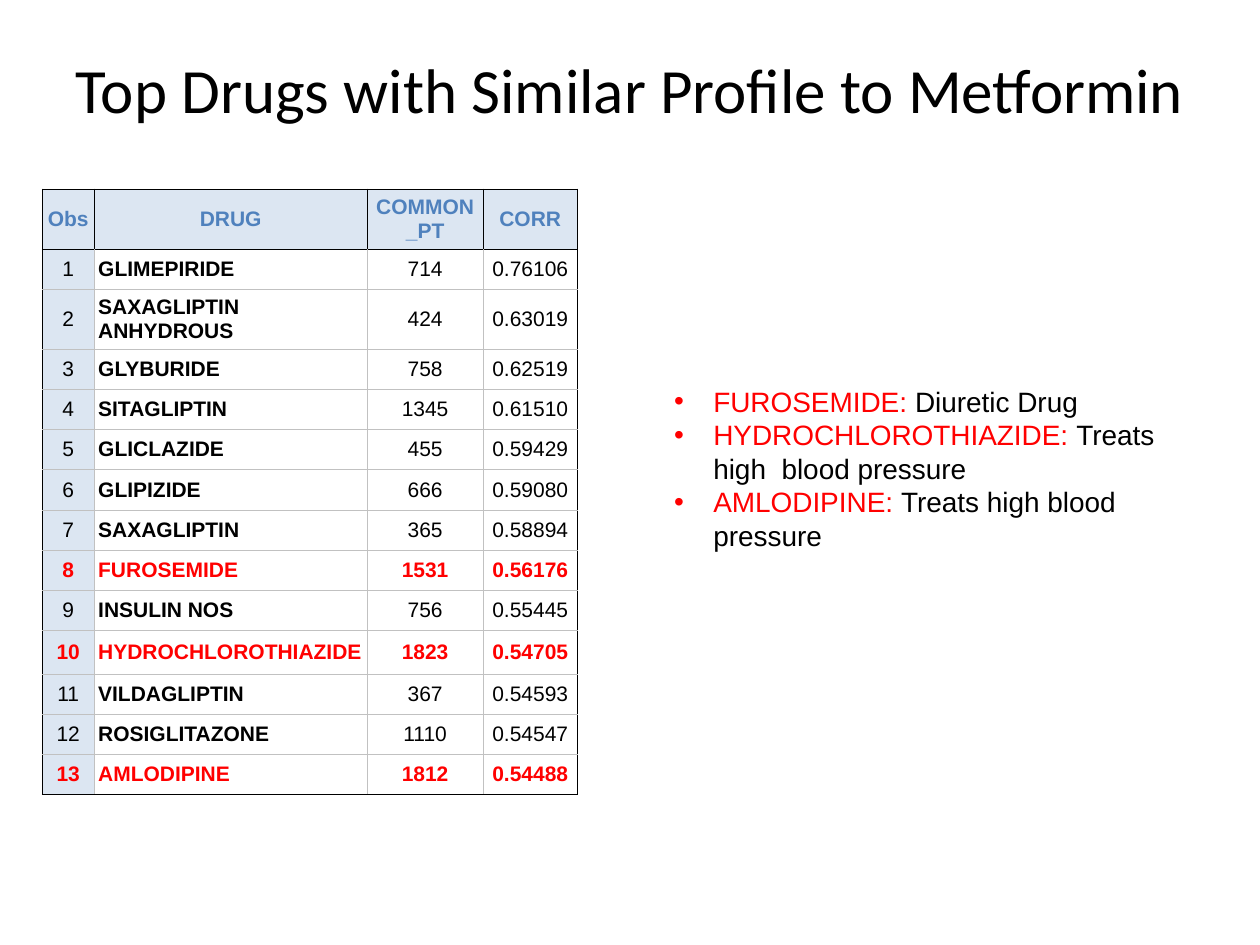
import dataclasses

import pptx
import pptx.dml.color
import pptx.enum.text
import pptx.oxml
import pptx.oxml.ns
import pptx.table
import pptx.text.text
import pptx.util

Cm = pptx.util.Cm
Pt = pptx.util.Pt
Align = pptx.enum.text.PP_ALIGN
Anchor = pptx.enum.text.MSO_ANCHOR

BLACK, WHITE, RED = "000000", "FFFFFF", "FF0000"
BLUE, PALE_BLUE, GREY = "4F81BD", "DCE6F2", "C1C1C1"

COLUMN_WIDTHS = (1.05, 5.5, 2.34, 1.9)
ROW_HEIGHT, TWO_LINE_HEIGHT, WIDE_NAME_HEIGHT = 0.81, 1.19, 0.88
HEADINGS = ("Obs", "DRUG", "COMMON_PT", "CORR")


@dataclasses.dataclass
class Drug:
    name: str
    common: int
    correlation: float
    height: float = ROW_HEIGHT
    use: str = ""  # drugs with a different use are marked in red


DRUGS = (
    Drug("GLIMEPIRIDE", 714, 0.76106),
    Drug("SAXAGLIPTIN ANHYDROUS", 424, 0.63019, TWO_LINE_HEIGHT),
    Drug("GLYBURIDE", 758, 0.62519),
    Drug("SITAGLIPTIN", 1345, 0.61510),
    Drug("GLICLAZIDE", 455, 0.59429),
    Drug("GLIPIZIDE", 666, 0.59080),
    Drug("SAXAGLIPTIN", 365, 0.58894),
    Drug("FUROSEMIDE", 1531, 0.56176, use="Diuretic Drug"),
    Drug("INSULIN NOS", 756, 0.55445),
    Drug("HYDROCHLOROTHIAZIDE", 1823, 0.54705, WIDE_NAME_HEIGHT,
         use="Treats high  blood pressure"),
    Drug("VILDAGLIPTIN", 367, 0.54593),
    Drug("ROSIGLITAZONE", 1110, 0.54547),
    Drug("AMLODIPINE", 1812, 0.54488, use="Treats high blood pressure"),
)


def rgb(value: str) -> pptx.dml.color.RGBColor:
    return pptx.dml.color.RGBColor.from_string(value)


def add_text(para: pptx.text.text._Paragraph, text: str, *, size: float,
             color: str = BLACK, bold: bool = False, font: str = "Arial") -> None:
    span = para.add_run()
    span.text = text
    span.font.name = font
    span.font.size = Pt(size)
    span.font.bold = bold
    span.font.color.rgb = rgb(color)


def set_borders(cell: pptx.table._Cell, colors: dict[str, str]) -> None:
    """Draw the cell's sides; black lines are a little wider than grey ones."""
    properties = cell._tc.get_or_add_tcPr()
    for index, side in enumerate("LRTB"):
        color = colors[side]
        width = Pt(0.45 if color == BLACK else 0.28)
        properties.insert(index, pptx.oxml.parse_xml(
            f'<a:ln{side} {pptx.oxml.ns.nsdecls("a")} w="{int(width)}">'
            f'<a:solidFill><a:srgbClr val="{color}"/></a:solidFill></a:ln{side}>'))


def fill_cell(table: pptx.table.Table, row: int, column: int, text: str,
              marked: bool) -> None:
    cell = table.cell(row, column)
    heading, name = row == 0, column == 1
    cell.vertical_anchor = Anchor.MIDDLE
    cell.margin_left = cell.margin_right = Cm(0.08)
    cell.margin_top = cell.margin_bottom = Cm(0.13)
    cell.fill.solid()
    cell.fill.fore_color.rgb = rgb(PALE_BLUE if heading or column == 0 else WHITE)
    # The outline and the whole heading row have black lines
    set_borders(cell, {
        "L": BLACK if heading or column == 0 else GREY,
        "R": BLACK if heading or column == len(HEADINGS) - 1 else GREY,
        "T": BLACK if row <= 1 else GREY,
        "B": BLACK if heading or row == len(DRUGS) else GREY,
    })
    para = cell.text_frame.paragraphs[0]
    para.alignment = Align.LEFT if name and not heading else Align.CENTER
    color = BLUE if heading else RED if marked else BLACK
    add_text(para, text, size=12, color=color, bold=heading or name or marked)


def add_drug_table(page) -> None:
    heights = [TWO_LINE_HEIGHT, *(drug.height for drug in DRUGS)]
    table = page.shapes.add_table(
        len(heights), len(HEADINGS), Cm(0.85), Cm(3.81),
        Cm(sum(COLUMN_WIDTHS)), Cm(sum(heights))).table
    table.first_row = table.horz_banding = False
    for column, width in zip(table.columns, COLUMN_WIDTHS):
        column.width = Cm(width)
    for row, height in zip(table.rows, heights):
        row.height = Cm(height)
    for column, heading in enumerate(HEADINGS):
        fill_cell(table, 0, column, heading, False)
    for row, drug in enumerate(DRUGS, 1):
        values = (str(row), drug.name, str(drug.common), f"{drug.correlation:.5f}")
        for column, text in enumerate(values):
            fill_cell(table, row, column, text, bool(drug.use))


def add_bullet(para: pptx.text.text._Paragraph, color: str) -> None:
    properties = para._p.get_or_add_pPr()
    indent = int(Cm(0.79))
    properties.set("marL", str(indent))
    properties.set("indent", str(-indent))
    namespace = pptx.oxml.ns.nsdecls("a")
    for xml in (f'<a:buClr {namespace}><a:srgbClr val="{color}"/></a:buClr>',
                f'<a:buFont {namespace} typeface="Arial"/>',
                f'<a:buChar {namespace} char="•"/>'):
        properties.append(pptx.oxml.parse_xml(xml))


def add_use_list(page) -> None:
    box = page.shapes.add_textbox(Cm(13.34), Cm(7.62), Cm(10.59), Cm(3.66))
    frame = box.text_frame
    frame.word_wrap = True
    for index, drug in enumerate(drug for drug in DRUGS if drug.use):
        para = frame.add_paragraph() if index else frame.paragraphs[0]
        add_bullet(para, RED)
        add_text(para, f"{drug.name}: ", size=16, color=RED)
        add_text(para, drug.use, size=16)


def add_title(page, text: str) -> None:
    title = page.shapes.title
    title.left, title.top = Cm(1.27), Cm(0.2)
    title.width, title.height = Cm(22.86), Cm(3.18)
    frame = title.text_frame
    frame.margin_left = frame.margin_right = 0
    frame.vertical_anchor = Anchor.MIDDLE
    para = frame.paragraphs[0]
    para.alignment = Align.CENTER
    add_text(para, text, size=36, font="Calibri")


def main() -> None:
    deck = pptx.Presentation()
    deck.slide_width, deck.slide_height = Cm(25.4), Cm(19.05)
    page = deck.slides.add_slide(deck.slide_layouts.get_by_name("Title Only"))

    add_title(page, "Top Drugs with Similar Profile to Metformin")
    add_drug_table(page)
    add_use_list(page)

    deck.save("out.pptx")


if __name__ == "__main__":
    main()
